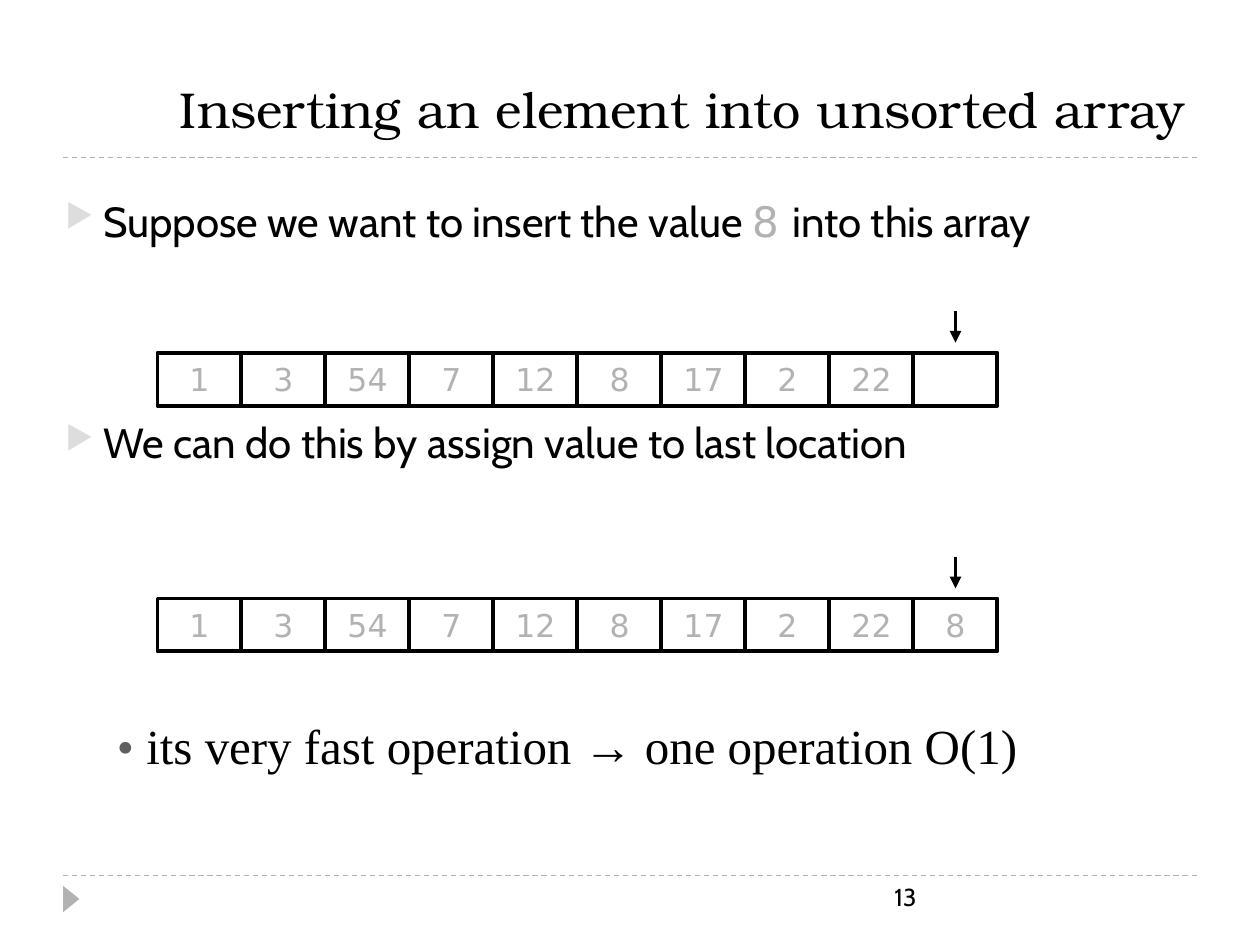
from lxml.etree import SubElement
from pptx import Presentation
from pptx.dml.color import RGBColor
from pptx.enum.dml import MSO_LINE
from pptx.enum.shapes import MSO_CONNECTOR, MSO_SHAPE
from pptx.enum.text import MSO_ANCHOR, PP_ALIGN
from pptx.oxml.ns import qn
from pptx.util import Inches, Pt

COLORS = {name: RGBColor.from_string(code) for name, code in {
    "ink": "000000", "value": "B2B2B2", "rule": "B2B2B2", "dot": "5F5F5F"}.items()}
BULLET_COLOR = "DDDDDD"
SANS, MONO, SERIF, TIMES = "Cabin", "DejaVu Sans", "TeX Gyre Bonum", "Times New Roman"

prs = Presentation()
prs.slide_width, prs.slide_height = Inches(10), Inches(7.5)
slide = prs.slides.add_slide(prs.slide_layouts[6])
shapes = slide.shapes


def add_runs(paragraph, size, runs):
    for text, font, color in runs:
        run = paragraph.add_run()
        run.text = text
        run.font.size = Pt(size)
        run.font.name = font
        run.font.color.rgb = COLORS[color]


def add_line(x1, y1, x2, y2, color, width):
    line = shapes.add_connector(MSO_CONNECTOR.STRAIGHT, Inches(x1), Inches(y1),
                                Inches(x2), Inches(y2))
    line.line.color.rgb = COLORS[color]
    line.line.width = Pt(width)
    properties = line.line._get_or_add_ln()
    SubElement(properties.getparent(), qn("a:effectLst"))
    return line


# Dashed rules and corner marker
for y in (6.95, 1.25):
    add_line(0.5, y, 9.5, y, "rule", 0.75).line.dash_style = MSO_LINE.DASH
marker = shapes.add_shape(MSO_SHAPE.ISOSCELES_TRIANGLE, Inches(0.46), Inches(7.07),
                          Inches(0.21), Inches(0.13))
marker.rotation = 90
marker.shadow.inherit = False
marker.fill.solid()
marker.fill.fore_color.rgb = COLORS["rule"]
marker.line.fill.background()

# Title, bullets, conclusion and page number
texts = [
    (1.33, 0.42, 8.52, 0.73, 28.8, MSO_ANCHOR.BOTTOM, False,
     [("Inserting an element into unsorted array", SERIF, "ink")]),
    (0.42, 1.5, 9.38, 0.75, 24, MSO_ANCHOR.TOP, True,
     [("Suppose we want to insert the value ", SANS, "ink"),
      ("8 ", MONO, "value"), ("into this array", SANS, "ink")]),
    (0.42, 3.26, 9.08, 0.9, 24, MSO_ANCHOR.TOP, True,
     [("We can do this by assign value to last location", SANS, "ink")]),
    (0.83, 5.63, 8.58, 1.04, 28, MSO_ANCHOR.TOP, False,
     [("• ", TIMES, "dot"),
      ("its very fast operation → one operation O(1)", TIMES, "ink")]),
    (7, 6.95, 2.5, 0.4, 14, MSO_ANCHOR.TOP, False, [("13", SANS, "ink")]),
]
for left, top, width, height, size, anchor, bulleted, runs in texts:
    frame = shapes.add_textbox(Inches(left), Inches(top), Inches(width),
                               Inches(height)).text_frame
    frame.word_wrap = True
    frame.vertical_anchor = anchor
    paragraph = frame.paragraphs[0]
    if bulleted:
        indent = paragraph._p.get_or_add_pPr()
        indent.set("marL", str(Inches(0.3)))
        indent.set("indent", str(Inches(-0.3)))
        bullet_color = SubElement(indent, qn("a:buClr"))
        SubElement(bullet_color, qn("a:srgbClr"), val=BULLET_COLOR)
        SubElement(indent, qn("a:buSzPct"), val="76000")
        SubElement(indent, qn("a:buChar"), char="▶")
    add_runs(paragraph, size, runs)

# Array before and after the insertion, with an arrow at the last cell
values = ["1", "3", "54", "7", "12", "8", "17", "2", "22"]
cell_width, cell_height, array_left = 2 / 3, 0.42, 1.25
for array_top, last_value in ((2.8, ""), (4.75, "8")):
    for index, value in enumerate(values + [last_value]):
        cell = shapes.add_shape(MSO_SHAPE.RECTANGLE,
                                Inches(array_left + index * cell_width), Inches(array_top),
                                Inches(cell_width), Inches(cell_height))
        cell.shadow.inherit = False
        cell.fill.background()
        cell.line.color.rgb = COLORS["ink"]
        cell.line.width = Pt(2.25)
        if value:
            frame = cell.text_frame
            frame.word_wrap = False
            frame.vertical_anchor = MSO_ANCHOR.MIDDLE
            frame.paragraphs[0].alignment = PP_ALIGN.CENTER
            add_runs(frame.paragraphs[0], 18, [(value, MONO, "value")])

    arrow_x = array_left + (len(values) + 0.5) * cell_width
    arrow = add_line(arrow_x, array_top - 0.33, arrow_x, array_top - 0.08, "ink", 2.25)
    SubElement(arrow.line._get_or_add_ln(), qn("a:tailEnd"), type="triangle")

prs.save("out.pptx")
